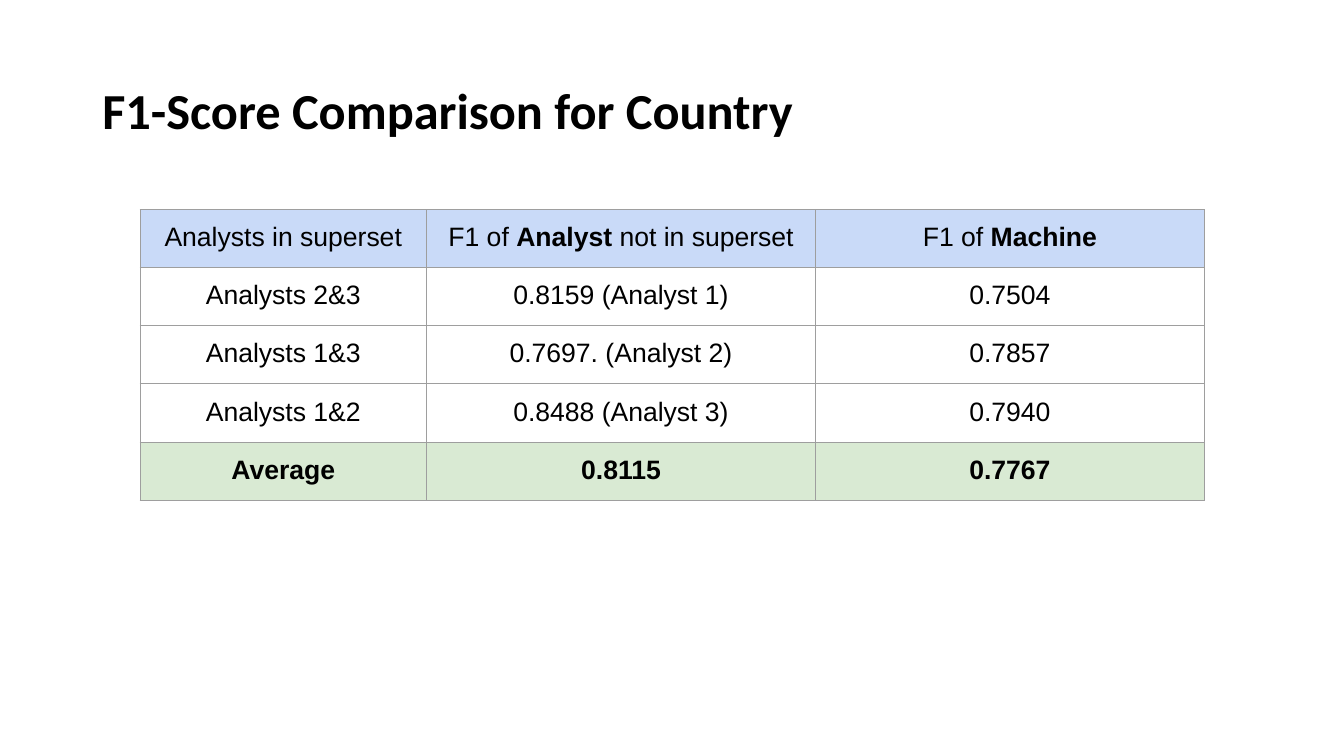
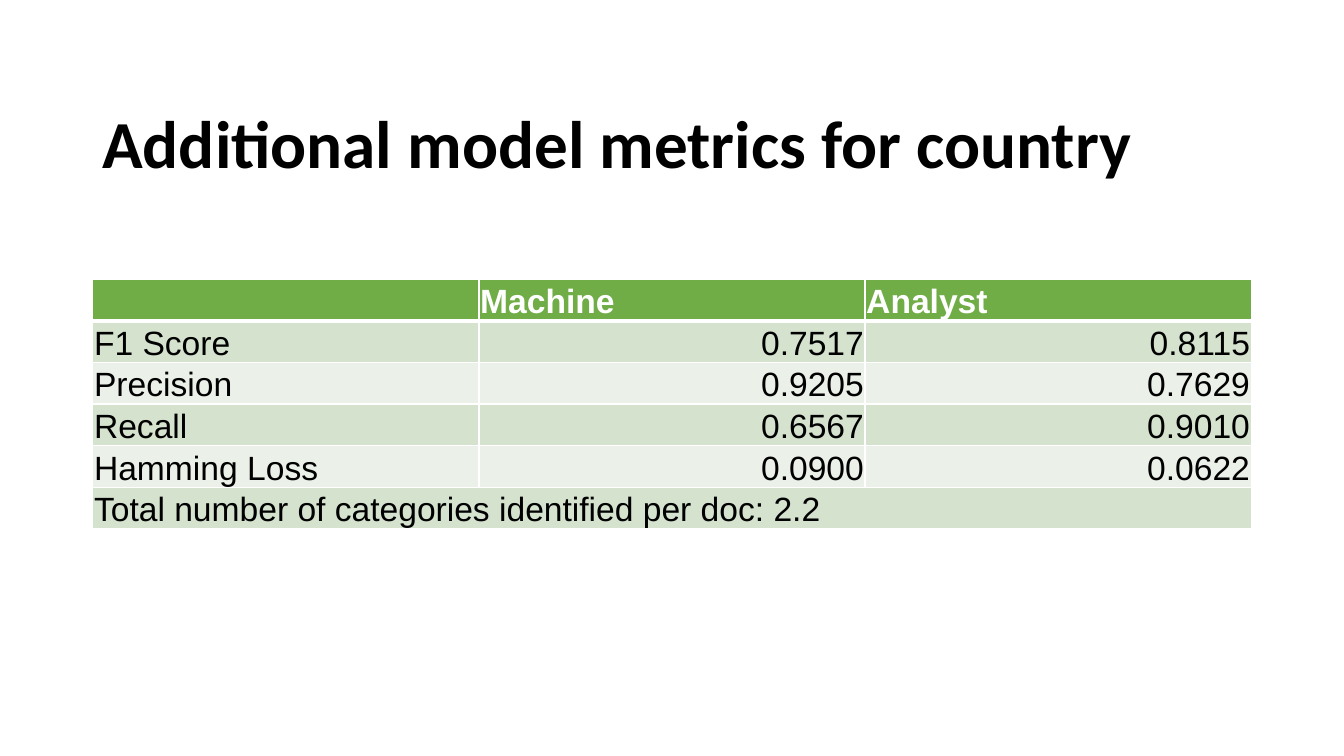
from lxml import etree
from pptx import Presentation
from pptx.dml.color import RGBColor
from pptx.enum.text import MSO_ANCHOR, PP_ALIGN
from pptx.oxml.ns import qn
from pptx.util import Cm, Pt

LEFT, MID, RIGHT = PP_ALIGN.LEFT, PP_ALIGN.CENTER, PP_ALIGN.RIGHT
TOP, CENTER, BOTTOM = MSO_ANCHOR.TOP, MSO_ANCHOR.MIDDLE, MSO_ANCHOR.BOTTOM

# Shared colours
BLACK, WHITE, GREY = "000000", "FFFFFF", "9E9E9E"
BLUE, MINT = "C9DAF8", "D9EAD3"
GREEN, SAGE, PALE = "70AD47", "D4E2CE", "EBF1E8"


def rgb(code):
    return RGBColor.from_string(code)


def write(frame, text, size=18, font="Arial", color=BLACK, align=LEFT,
          bold=False, space=1.0):
    """Fill a frame with one paragraph; parts between asterisks are bold."""
    para = frame.paragraphs[0]
    para.alignment = align
    para.line_spacing = space
    for i, part in enumerate(text.split("*")):
        if part:
            run = para.add_run()
            run.text = part
            run.font.size = Pt(size)
            run.font.name = font
            run.font.bold = bold or i % 2 == 1
            run.font.color.rgb = rgb(color)


# Content and format of each slide
pages = [
    dict(
        title="F1-Score Comparison for Country", size=36, top=1.02,
        left=3.53, head=5.28, cols=[7.22, 9.8, 9.8], high=1.42,
        text=19, inset=(0.33, 0.33), anchor=TOP, aligns=[MID] * 3,
        line=GREY, thin=0.75, thick=0.75, ink=BLACK, bold=[4],
        fills=[BLUE, WHITE, WHITE, WHITE, MINT],
        rows=[
            ["Analysts in superset", "F1 of *Analyst *not in superset",
             "F1 of *Machine*"],
            ["Analysts 2&3", "0.8159 (Analyst 1)", "0.7504"],
            ["Analysts 1&3", "0.7697. (Analyst 2)", "0.7857"],
            ["Analysts 1&2", "0.8488 (Analyst 3)", "0.7940"],
            ["Average", "0.8115", "0.7767"],
        ]),
    dict(
        title="Additional model metrics for country", size=48, top=1.85,
        left=2.34, head=7.04, cols=[9.73] * 3, high=1.03,
        text=24, inset=(0.03, 0), anchor=BOTTOM, aligns=[LEFT, RIGHT, RIGHT],
        line=WHITE, thin=1, thick=3, ink=WHITE, bold=[0],
        fills=[GREEN, SAGE, PALE, SAGE, PALE, SAGE],
        rows=[
            ["", "Machine", "Analyst"],
            ["F1 Score", "0.7517", "0.8115"],
            ["Precision", "0.9205", "0.7629"],
            ["Recall", "0.6567", "0.9010"],
            ["Hamming Loss", "0.0900", "0.0622"],
            ["Total number of categories identified per doc: 2.2"],
        ]),
]

deck = Presentation()
deck.slide_width, deck.slide_height = Cm(33.87), Cm(19.05)

for page in pages:
    slide = deck.slides.add_slide(deck.slide_layouts[6])

    # Title
    box = slide.shapes.add_textbox(Cm(2.33), Cm(page["top"]),
                                   Cm(29.21), Cm(3.68))
    box.text_frame.word_wrap = True
    box.text_frame.vertical_anchor = CENTER
    write(box.text_frame, page["title"], size=page["size"], font="Calibri",
          bold=True, space=0.9)

    # Table grid
    cols, rows = page["cols"], page["rows"]
    table = slide.shapes.add_table(
        len(rows), len(cols), Cm(page["left"]), Cm(page["head"]),
        Cm(sum(cols)), Cm(page["high"] * len(rows))).table
    table.horz_banding = table.first_row = False
    for col, wide in zip(table.columns, cols):
        col.width = Cm(wide)
    for row in table.rows:
        row.height = Cm(page["high"])

    for r, texts in enumerate(rows):
        # A lone text spans the row
        if len(texts) == 1:
            table.cell(r, 0).merge(table.cell(r, len(cols) - 1))

        for c in range(len(cols)):
            cell = table.cell(r, c)

            # Borders, heavier below the header
            for side in "LRTB":
                heavy = (r, side) in [(0, "B"), (1, "T")]
                wide = page["thick"] if heavy else page["thin"]
                edge = etree.SubElement(cell._tc.get_or_add_tcPr(),
                                        qn("a:ln" + side), w=str(Pt(wide)))
                fill = etree.SubElement(edge, qn("a:solidFill"))
                etree.SubElement(fill, qn("a:srgbClr"), val=page["line"])

            # Fill and text
            cell.fill.solid()
            cell.fill.fore_color.rgb = rgb(page["fills"][r])
            side, base = page["inset"]
            cell.margin_left = cell.margin_right = cell.margin_top = Cm(side)
            cell.margin_bottom = Cm(base)
            cell.vertical_anchor = page["anchor"]
            if c < len(texts):
                write(cell.text_frame, texts[c], size=page["text"],
                      color=page["ink"] if r == 0 else BLACK,
                      align=LEFT if r == 0 and page["anchor"] == BOTTOM
                      else page["aligns"][c],
                      bold=r in page["bold"])

deck.save("out.pptx")
